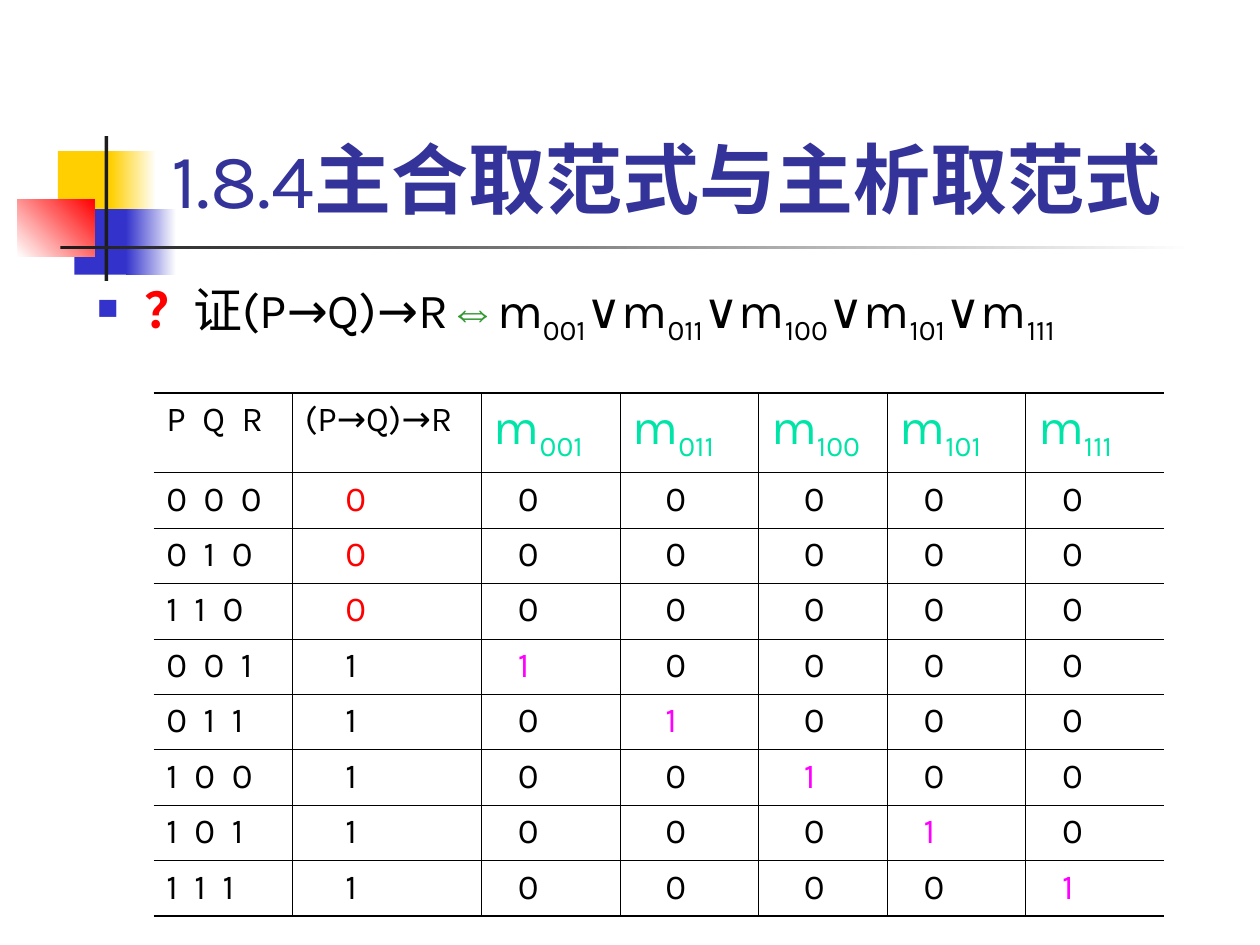
import pptx
import pptx.dml.color
import pptx.enum.shapes
import pptx.enum.text
import pptx.oxml
import pptx.oxml.ns
import pptx.util

PX = 9144
FONT = "Karla"
BLACK, RED, PINK, GREEN, NAVY, BLUE = "000000", "FF0000", "FF00FF", "00E4A8", "333399", "3333CC"
GOLD, WHITE, DARK, ARROW = "FFCF01", "FFFFFF", "1C1C1C", "339933"
FORMULA = "(P→Q)→R"
MINTERMS = ["001", "011", "100", "101", "111"]
ASSIGNMENTS = ["000", "010", "110"] + MINTERMS
COLUMNS = [110, 150, 110, 110, 102, 110, 110]
INDENTS = [0, 32, 19, 26, 26, 19, 19]
HEADER_H, ROW_H = 63, 44


def px(*values):
    """Turn px lengths into EMU."""
    return [pptx.util.Emu(v * PX) for v in values]


def rgb(value):
    """Turn a hex string into a colour."""
    return pptx.dml.color.RGBColor.from_string(value)


def add_run(p, text, size, color=BLACK, bold=False, font=FONT, sub=False, spacing=0):
    """Add one formatted run to a paragraph."""
    r = p.add_run()
    r.text = text
    r.font.size = pptx.util.Pt(size)
    r.font.name = font
    r.font.bold = bold
    r.font.color.rgb = rgb(color)
    if sub:
        r._r.get_or_add_rPr().set("baseline", "-25000")
    if spacing:
        r._r.get_or_add_rPr().set("spc", str(spacing))


def add_minterm(p, name, color=BLACK, prefix=""):
    """Add m with its index as a subscript."""
    add_run(p, prefix + "m", 28, color)
    add_run(p, name, 28, color, sub=True)


def add_block(s, box, colors, angle=0):
    """Add a plain or gradient rectangle without outline."""
    sp = s.shapes.add_shape(pptx.enum.shapes.MSO_SHAPE.RECTANGLE, *px(*box))
    sp.shadow.inherit = False
    sp.line.fill.background()
    if len(colors) == 1:
        sp.fill.solid()
        sp.fill.fore_color.rgb = rgb(colors[0])
        return
    sp.fill.gradient()
    sp.fill.gradient_angle = angle
    for stop, color in zip(sp.fill.gradient_stops, colors):
        stop.color.rgb = rgb(color)


def add_ornament(s, x, y):
    """Draw the coloured blocks and crossing bars from a top left corner."""
    blocks = [
        ((32, 12, 48, 52), [GOLD], 0),
        ((74, 12, 36, 52), [GOLD, WHITE], 0),
        ((45, 58, 46, 52), [BLUE], 0),
        ((86, 58, 40, 52), [BLUE, WHITE], 0),
        ((0, 50, 61, 46), [WHITE, RED], 45),
        ((69, 0, 3, 115), [DARK], 0),
        ((34, 87, 900, 3), [DARK, WHITE], 0),
    ]
    for (dx, dy, w, h), colors, angle in blocks:
        add_block(s, (x + dx, y + dy, w, h), colors, angle)


def add_title(s, box):
    """Place and fill the title placeholder above the ornament."""
    sp = s.shapes.title
    sp.left, sp.top, sp.width, sp.height = px(*box)
    s.shapes._spTree.append(sp._element)
    tf = sp.text_frame
    tf.auto_size = pptx.enum.text.MSO_AUTO_SIZE.NONE
    tf.vertical_anchor = pptx.enum.text.MSO_ANCHOR.BOTTOM
    p = tf.paragraphs[0]
    p.alignment = pptx.enum.text.PP_ALIGN.LEFT
    add_run(p, "1.8.4", 44, NAVY)
    add_run(p, "主合取范式与主析取范式", 44, NAVY, bold=True)


def add_claim(s, box):
    """Add the bulleted equivalence to be proved."""
    tf = s.shapes.add_textbox(*px(*box)).text_frame
    tf.word_wrap = True
    p = tf.paragraphs[0]
    p.space_before = pptx.util.Pt(7)
    pPr = p._p.get_or_add_pPr()
    pPr.set("marL", str(38 * PX))
    pPr.set("indent", str(-38 * PX))
    ns = pptx.oxml.ns.nsdecls("a")
    for xml in (f'<a:buClr {ns}><a:srgbClr val="{BLUE}"/></a:buClr>',
                f'<a:buSzPct {ns} val="60000"/>',
                f'<a:buChar {ns} char="■"/>'):
        pPr.append(pptx.oxml.parse_xml(xml))
    add_run(p, "？", 28, RED, bold=True)
    add_run(p, "证" + FORMULA, 28)
    add_run(p, "⇔", 28, ARROW, font="Arial")
    for i, name in enumerate(MINTERMS):
        add_minterm(p, name, prefix="∨" if i else "")


def set_borders(cell, widths):
    """Give a cell its left, right, top and bottom lines in points."""
    tcPr = cell._tc.get_or_add_tcPr()
    ns = pptx.oxml.ns.nsdecls("a")
    for side, width in zip("LRTB", widths):
        fill = f'<a:solidFill><a:srgbClr val="{BLACK}"/></a:solidFill>' if width else "<a:noFill/>"
        tcPr.append(pptx.oxml.parse_xml(
            f'<a:ln{side} {ns} w="{int(width * 12700)}">{fill}</a:ln{side}>'))


def fill_header(p, col):
    """Write one heading of the truth table."""
    if col == 0:
        add_run(p, "P Q R", 20, spacing=235)
    elif col == 1:
        add_run(p, FORMULA, 20)
    else:
        add_minterm(p, MINTERMS[col - 2], GREEN)


def fill_value(p, bits, col):
    """Write an assignment or the truth value it yields."""
    if col == 0:
        add_run(p, " ".join(bits), 20, spacing=235)
        return
    p._p.get_or_add_pPr().set("marL", str(INDENTS[col] * PX))
    if col == 1:
        true = bits in MINTERMS
        color = BLACK if true else RED
    else:
        true = bits == MINTERMS[col - 2]
        color = PINK if true else BLACK
    add_run(p, "1" if true else "0", 20, color)


def add_truth_table(s, x, y):
    """Add the truth table of the formula and its minterms."""
    n_rows, n_cols = len(ASSIGNMENTS) + 1, len(COLUMNS)
    box = (x, y, sum(COLUMNS), HEADER_H + ROW_H * len(ASSIGNMENTS))
    table = s.shapes.add_table(n_rows, n_cols, *px(*box)).table
    table.first_row = table.horz_banding = False
    for column, width in zip(table.columns, px(*COLUMNS)):
        column.width = width
    for i, row in enumerate(table.rows):
        row.height = px(ROW_H if i else HEADER_H)[0]
        for j, cell in enumerate(row.cells):
            set_borders(cell, (0.45 if j else 0, 0.45 if j < n_cols - 1 else 0,
                               0.45 if i else 1.08, 0.45 if i < n_rows - 1 else 1.08))
            cell.fill.background()
            p = cell.text_frame.paragraphs[0]
            p.space_before = pptx.util.Pt(7 if i == 0 and j > 1 else 5)
            if i:
                fill_value(p, ASSIGNMENTS[i - 1], j)
            else:
                fill_header(p, j)


def main():
    """Build the slide and save it."""
    prs = pptx.Presentation()
    prs.slide_width, prs.slide_height = px(1000, 750)
    s = prs.slides.add_slide(prs.slide_layouts[5])
    add_ornament(s, 14, 108)
    add_title(s, (126, 23, 852, 160))
    add_claim(s, (67, 217, 912, 70))
    add_truth_table(s, 122, 312)
    prs.save("out.pptx")


if __name__ == "__main__":
    main()
